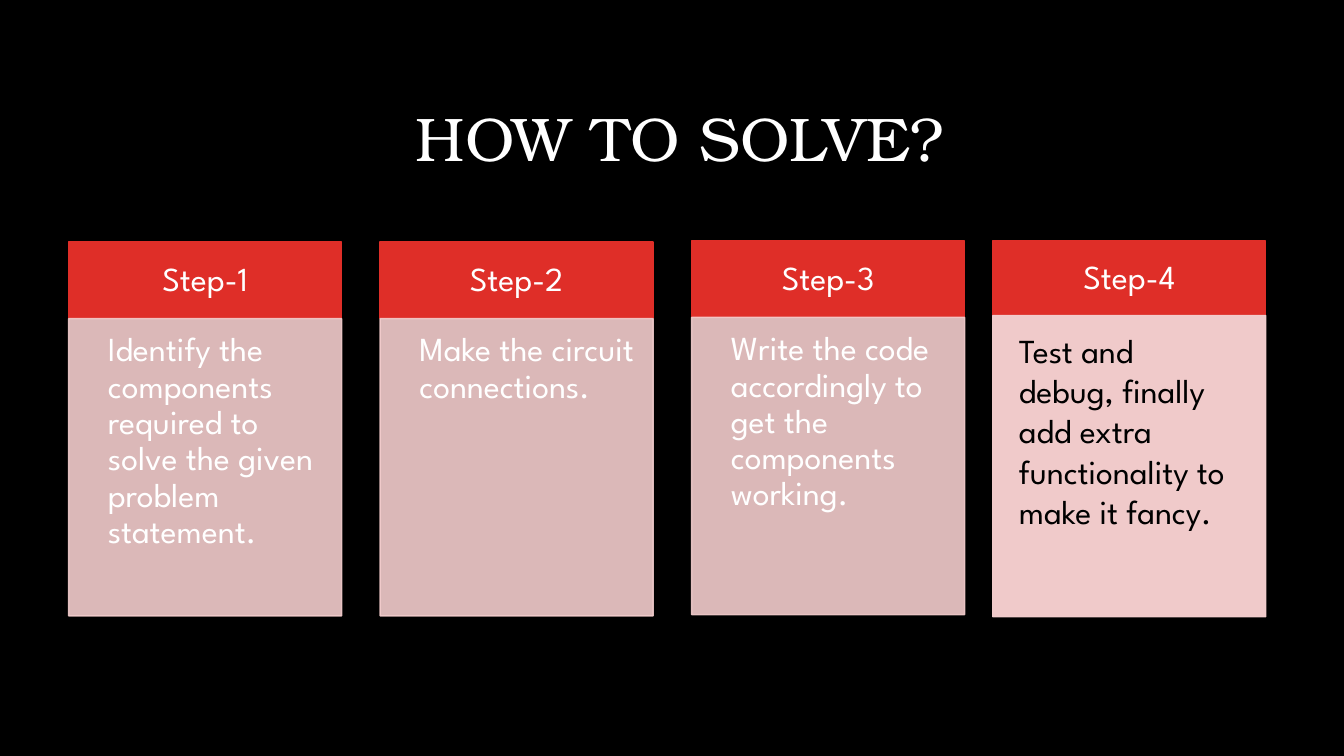
from lxml.etree import SubElement
from pptx import Presentation
from pptx.dml.color import RGBColor
from pptx.enum.shapes import MSO_SHAPE
from pptx.enum.text import MSO_ANCHOR, PP_ALIGN
from pptx.oxml.ns import qn
from pptx.util import Cm, Pt

BLACK = RGBColor(0x00, 0x00, 0x00)
WHITE = RGBColor(0xFF, 0xFF, 0xFF)
RED = RGBColor(0xDF, 0x2E, 0x28)
PINK = RGBColor(0xF3, 0xCD, 0xCD)

WIDTH = 6.88
LEFT, PITCH = 1.73, 7.85

# title, text, left, top, head height, body height, opacity, body format
PLAIN = dict(color=WHITE, space=0.9, pad=(0.99, 0.36, 0.4, 0.53))
DARK = dict(color=BLACK, space=1.0, pad=(0.66, 0.36, 0.86, 0.99))
STEPS = [
    ("Step-1", "Identify the components required to solve the given problem statement.",
     LEFT, 6.1, 1.93, 7.49, 90, PLAIN),
    ("Step-2", "Make the circuit connections.",
     LEFT + PITCH, 6.1, 1.93, 7.49, 90, PLAIN),
    ("Step-3", "Write the code accordingly to get the components working.",
     LEFT + 2 * PITCH, 6.07, 1.93, 7.49, 90, PLAIN),
    ("Step-4", "Test and debug, finally add extra functionality to make it fancy.",
     25.02, 6.07, 1.88, 7.59, 99, DARK),
]


class Deck:
    def __init__(self):
        self.show = Presentation()
        self.show.slide_width, self.show.slide_height = Cm(33.87), Cm(19.05)
        self.slide = self.show.slides.add_slide(self.show.slide_layouts[6])
        fill = self.slide.background.fill
        fill.solid()
        fill.fore_color.rgb = BLACK
        self.font = "League Spartan"

    def label(self, shape, text, color=WHITE, size=24, font=None, space=0.9,
              align=PP_ALIGN.LEFT, anchor=MSO_ANCHOR.TOP,
              pad=(0.25, 0.13, 0.25, 0.13)):
        """Put formatted text into a shape; pad is left, top, right, bottom."""
        frame = shape.text_frame
        sides = ("margin_left", "margin_top", "margin_right", "margin_bottom")
        look = {side: Cm(gap) for side, gap in zip(sides, pad)}
        look.update(word_wrap=True, vertical_anchor=anchor)
        for key, value in look.items():
            setattr(frame, key, value)
        para = frame.paragraphs[0]
        para.alignment, para.line_spacing = align, space
        run = para.add_run()
        run.text = text
        for key, value in dict(name=font or self.font, size=Pt(size)).items():
            setattr(run.font, key, value)
        run.font.color.rgb = color

    def title(self, text, left, top, width, height):
        box = self.slide.shapes.add_textbox(Cm(left), Cm(top), Cm(width), Cm(height))
        self.label(box, text, size=44, font="TeX Gyre Bonum",
                   align=PP_ALIGN.CENTER, anchor=MSO_ANCHOR.MIDDLE)

    def block(self, text, left, top, height, paint, alpha=100, **look):
        """Add a rectangle with text; alpha is its opacity in percent."""
        rect = self.slide.shapes.add_shape(
            MSO_SHAPE.RECTANGLE, Cm(left), Cm(top), Cm(WIDTH), Cm(height))
        rect.shadow.inherit = False
        rect.fill.solid()
        rect.fill.fore_color.rgb = paint
        rect.line.color.rgb = paint
        rect.line.width = Pt(1)
        if alpha < 100:
            for tone in rect.element.spPr.iter(qn("a:srgbClr")):
                SubElement(tone, qn("a:alpha")).set("val", str(alpha * 1000))
        self.label(rect, text, **look)

    def step(self, name, text, left, top, head, body, alpha, look):
        self.block(name, left, top, head, RED,
                   align=PP_ALIGN.CENTER, anchor=MSO_ANCHOR.MIDDLE)
        self.block(text, left, top + head, body, PINK, alpha, **look)


def main():
    deck = Deck()
    deck.title("HOW TO SOLVE?", 5.18, 1.78, 23.93, 3.58)
    for step in STEPS:
        deck.step(*step)
    deck.show.save("out.pptx")


if __name__ == "__main__":
    main()
